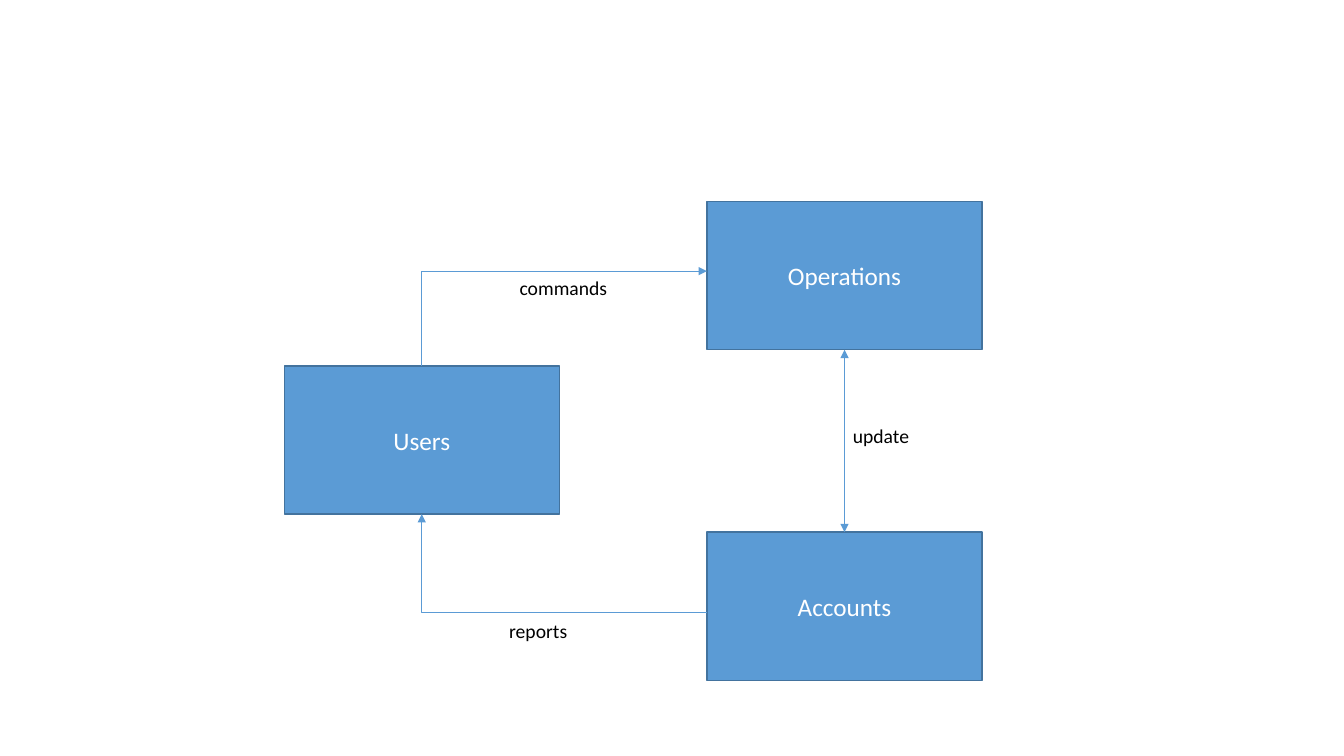
from dataclasses import dataclass

from lxml.etree import SubElement
from pptx import Presentation
from pptx.dml.color import RGBColor
from pptx.enum.shapes import MSO_CONNECTOR as Connector, MSO_SHAPE as Shape
from pptx.enum.text import MSO_ANCHOR as Anchor, PP_ALIGN as Align
from pptx.oxml.ns import qn
from pptx.util import Inches, Pt

WIDTH, HEIGHT = Inches(13.33), Inches(7.5)
COLUMNS, ROWS = 40, 30
BOX_COLUMNS, BOX_ROWS = 8.19, 5.88
LABEL_COLUMNS, LABEL_ROWS = 4.08, 1.36
TOP, BOTTOM = 0, 2


@dataclass(frozen=True)
class Theme:
    font: str = "Calibri"
    box_fill: str = "5B9BD5"
    box_line: str = "43739E"
    arrow: str = "5B9BD5"
    box_text: str = "FFFFFF"
    label_text: str = "000000"
    box_size: int = 18
    label_size: int = 14
    box_line_width: float = 1
    arrow_width: float = 0.5


THEME = Theme()


def across(columns):
    return round(WIDTH * columns / COLUMNS)


def down(rows):
    return round(HEIGHT * rows / ROWS)


def write(frame, text, *, size, color, anchor):
    frame.word_wrap = True
    frame.vertical_anchor = anchor
    paragraph = frame.paragraphs[0]
    paragraph.alignment = Align.CENTER
    run = paragraph.add_run()
    run.text = text
    run.font.name = THEME.font
    run.font.size = Pt(size)
    run.font.color.rgb = RGBColor.from_string(color)


def draw_line(line, color, width):
    line.color.rgb = RGBColor.from_string(color)
    line.width = Pt(width)


def add_box(slide, name, column, row):
    box = slide.shapes.add_shape(
        Shape.RECTANGLE, across(column), down(row), across(BOX_COLUMNS), down(BOX_ROWS)
    )
    box.shadow.inherit = False
    box.fill.solid()
    box.fill.fore_color.rgb = RGBColor.from_string(THEME.box_fill)
    draw_line(box.line, THEME.box_line, THEME.box_line_width)
    write(box.text_frame, name, size=THEME.box_size, color=THEME.box_text, anchor=Anchor.MIDDLE)
    return box


def add_label(slide, text, column, row):
    label = slide.shapes.add_textbox(
        across(column), down(row), across(LABEL_COLUMNS), down(LABEL_ROWS)
    )
    write(label.text_frame, text, size=THEME.label_size, color=THEME.label_text, anchor=Anchor.TOP)


def add_arrow(slide, kind, start, finish, *heads):
    arrow = slide.shapes.add_connector(kind, *start, *finish)
    draw_line(arrow.line, THEME.arrow, THEME.arrow_width)
    outline = arrow.line._get_or_add_ln()
    for end in heads:
        SubElement(outline, qn(f"a:{end}"), type="triangle")
    SubElement(arrow._element.spPr, qn("a:effectLst"))
    return arrow


def add_corner_arrow(slide, start, finish, head):
    arrow = add_arrow(slide, Connector.ELBOW, start, finish, head)
    arrow._element.spPr.find(qn("a:prstGeom")).set("prst", "bentConnector2")


def main():
    deck = Presentation()
    deck.slide_width, deck.slide_height = WIDTH, HEIGHT
    slide = deck.slides.add_slide(deck.slide_layouts[6])

    users = add_box(slide, "Users", 8.46, 14.52)
    accounts = add_box(slide, "Accounts", 21.04, 21.12)
    operations = add_box(slide, "Operations", 21.04, 8)

    users_middle = users.left + users.width // 2
    add_corner_arrow(
        slide, (operations.left, down(10.76)), (users_middle, users.top), "headEnd"
    )
    add_corner_arrow(
        slide, (accounts.left, down(24.32)), (users_middle, users.top + users.height), "tailEnd"
    )
    update = add_arrow(slide, Connector.STRAIGHT, (0, 0), (0, 0), "headEnd", "tailEnd")
    update.begin_connect(operations, BOTTOM)
    update.end_connect(accounts, TOP)

    for text, column, row in (
        ("commands", 14.73, 10.76),
        ("reports", 13.98, 24.36),
        ("update", 24.18, 16.64),
    ):
        add_label(slide, text, column, row)

    deck.save("out.pptx")


if __name__ == "__main__":
    main()
